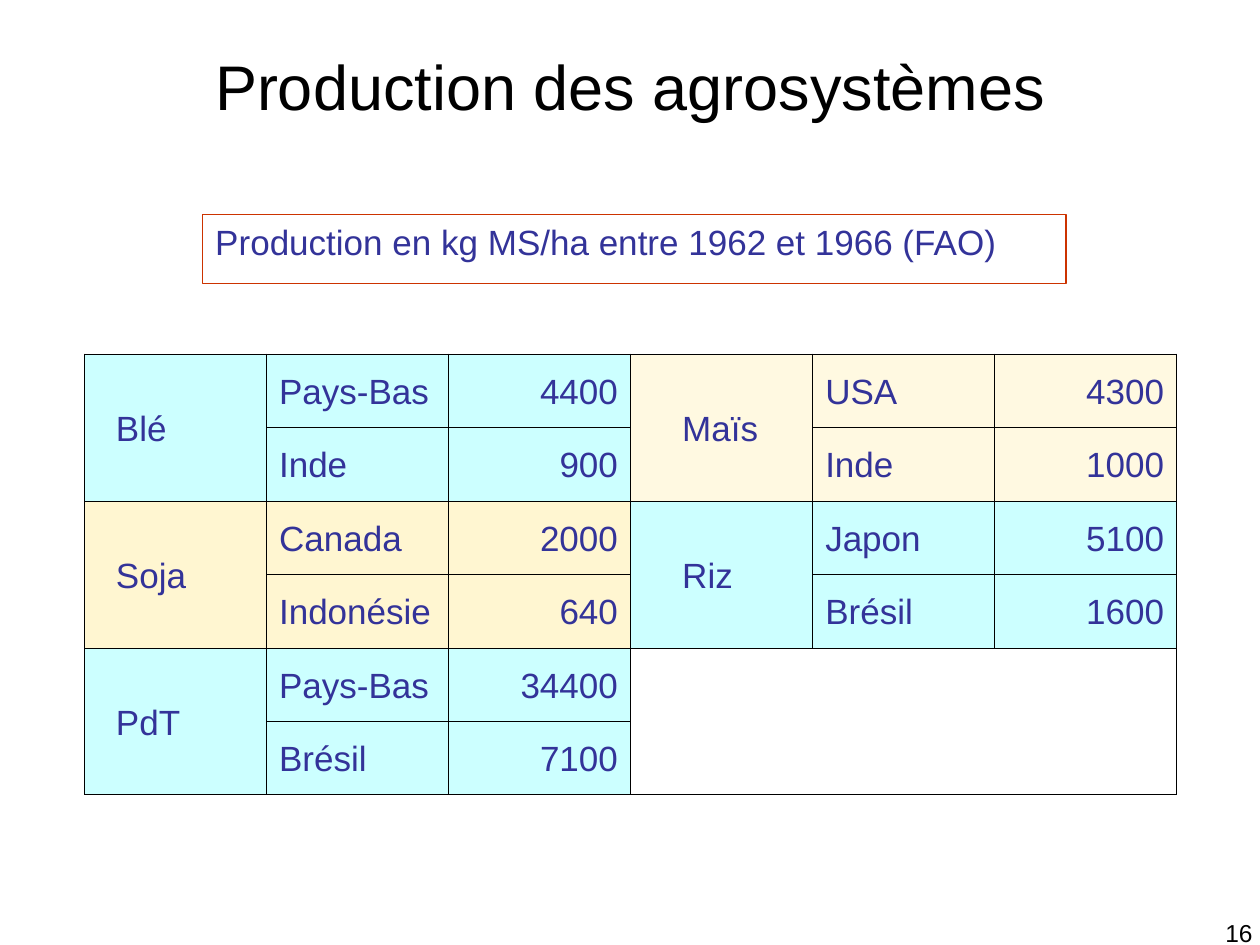
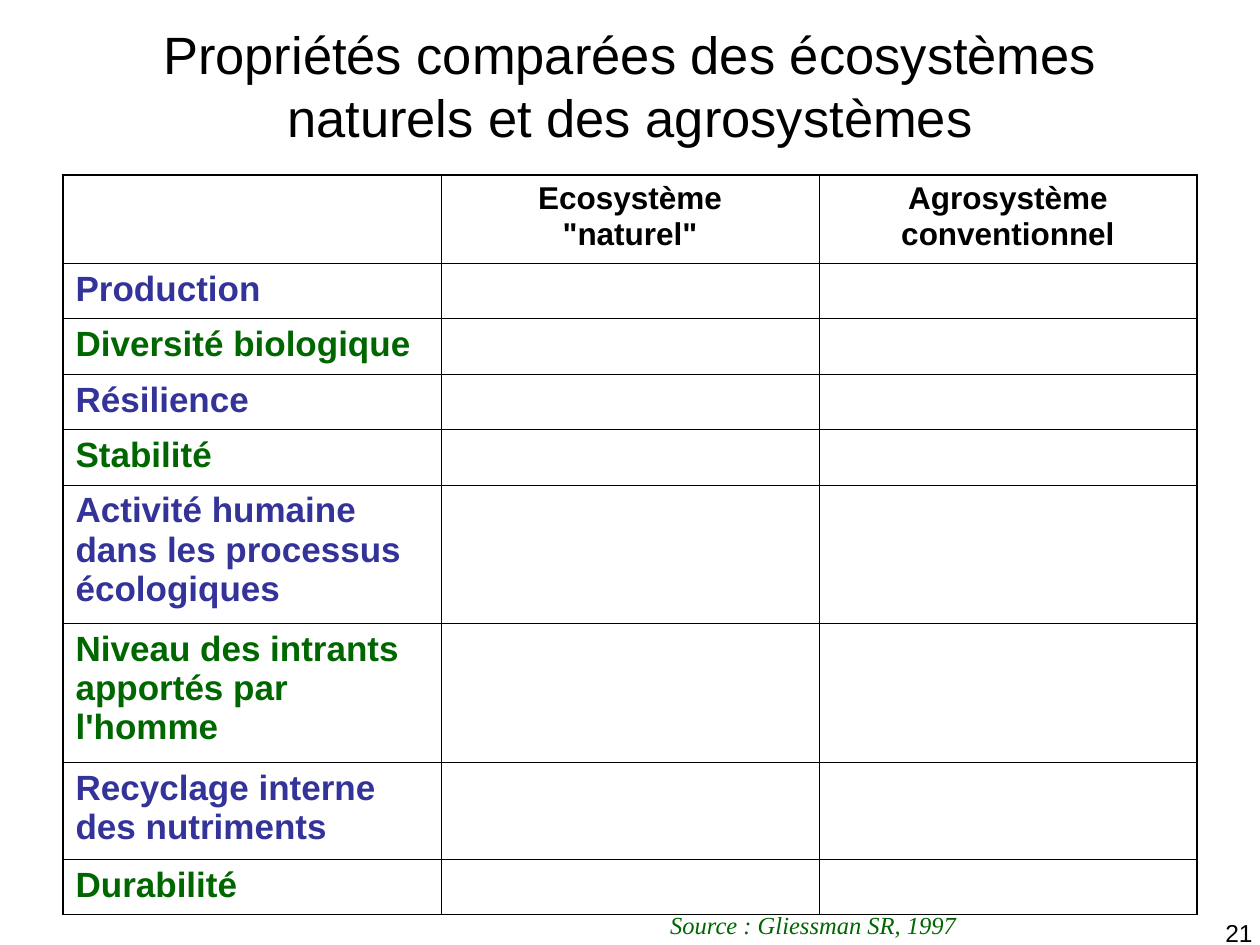
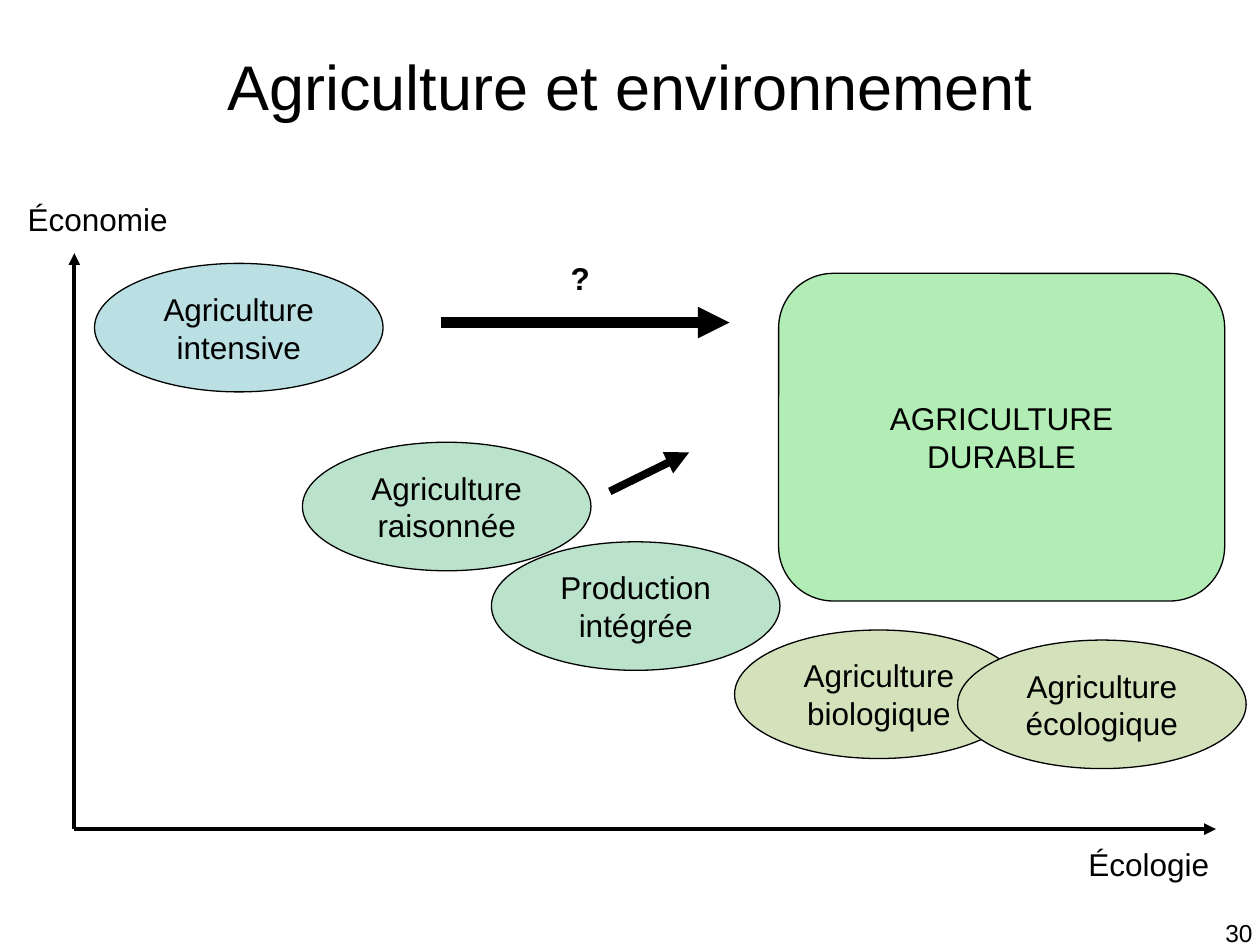
from dataclasses import dataclass

import pptx
import pptx.util
from pptx.dml.color import RGBColor
from pptx.enum.shapes import MSO_CONNECTOR, MSO_SHAPE
from pptx.enum.text import MSO_ANCHOR, PP_ALIGN
from pptx.oxml.ns import qn
from pptx.util import Inches
from lxml import etree

# Shared look
COLORS = {
    "black": "000000", "indigo": "333399", "green": "006600", "red": "CC3300",
    "cyan": "CCFFFF", "cream": "FFF9E1", "sand": "FFF6D1",
    "blue": "BBE0E3", "mint": "BBE3CB", "olive": "D4E2BC", "lime": "B1EDB4",
}
THIN, THICK = 0.45, 1.08
LOOSE, TIGHT = 1.2, 1.115  # line pitch as a multiple of the font size
CENTER, RIGHT = PP_ALIGN.CENTER, PP_ALIGN.RIGHT


@dataclass
class Crop:
    name: str
    fill: str
    row: int
    col: int
    indent: float
    yields: tuple


@dataclass
class Bubble:
    text: str
    left: float
    top: float
    fill: str
    width: float = 2.29
    height: float = 1.02
    kind: MSO_SHAPE = MSO_SHAPE.OVAL


@dataclass
class Arrow:
    start: tuple
    end: tuple
    weight: float


CROPS = [
    Crop("Blé", "cyan", 0, 0, 0.25, (("Pays-Bas", "4400"), ("Inde", "900"))),
    Crop("Maïs", "cream", 0, 3, 0.41, (("USA", "4300"), ("Inde", "1000"))),
    Crop("Soja", "sand", 2, 0, 0.25, (("Canada", "2000"), ("Indonésie", "640"))),
    Crop("Riz", "cyan", 2, 3, 0.41, (("Japon", "5100"), ("Brésil", "1600"))),
    Crop("PdT", "cyan", 4, 0, 0.25, (("Pays-Bas", "34400"), ("Brésil", "7100"))),
]

HEADERS = ["Ecosystème\v\"naturel\"", "Agrosystème\vconventionnel"]
PROPERTIES = [
    ("Production", 0.44),
    ("Diversité biologique", 0.44),
    ("Résilience", 0.44),
    ("Stabilité", 0.44),
    ("Activité humaine dans les processus écologiques", 1.1),
    ("Niveau des intrants apportés par l'homme", 1.1),
    ("Recyclage interne des nutriments", 0.77),
    ("Durabilité", 0.44),
]

AXES = [Arrow((0.59, 6.58), (9.65, 6.58), 2.25), Arrow((0.59, 6.58), (0.59, 2.01), 2.25)]
PATHS = [Arrow((4.84, 3.9), (5.47, 3.59), 4.5), Arrow((3.5, 2.56), (5.79, 2.56), 6)]
BUBBLES = [
    Bubble("Agriculture\vintensive", 0.75, 2.09, "blue"),
    Bubble("Agriculture\vraisonnée", 2.4, 3.51, "mint"),
    Bubble("Production\vintégrée", 3.9, 4.3, "mint"),
    Bubble("Agriculture\vbiologique", 5.83, 5, "olive"),
    Bubble("Agriculture\vécologique", 7.6, 5.08, "olive"),
    Bubble("AGRICULTURE\nDURABLE", 6.18, 2.17, "lime", 3.54, 2.6,
           MSO_SHAPE.ROUNDED_RECTANGLE),
]


def rgb(name: str) -> RGBColor:
    return RGBColor.from_string(COLORS[name])


# Text and slides
def write(tf, text: str, *, size: float = 18, color: str = "black", font: str = "Arial",
          bold: bool = False, italic: bool = False, align=PP_ALIGN.LEFT,
          pitch: float = LOOSE) -> None:
    """Fill a text frame: a newline starts a paragraph, \\v breaks a line."""
    for i, line in enumerate(text.split("\n")):
        p = tf.paragraphs[0] if i == 0 else tf.add_paragraph()
        p.text = line
        p.alignment = align
        p.line_spacing = pptx.util.Pt(round(size * pitch, 1))
        for r in p.runs:
            f = r.font
            f.name, f.size, f.bold, f.italic = font, pptx.util.Pt(size), bold, italic
            f.color.rgb = rgb(color)


def add_text(s, text: str, left: float, top: float, width: float, height: float, **fmt):
    sp = s.shapes.add_textbox(Inches(left), Inches(top), Inches(width), Inches(height))
    sp.text_frame.word_wrap = True
    write(sp.text_frame, text, **fmt)
    return sp


def add_slide(prs, title: str, number: int, size: float = 36):
    s = prs.slides.add_slide(prs.slide_layouts[5])
    sp = s.shapes.title
    sp.left, sp.top, sp.width, sp.height = (Inches(v) for v in (0.5, 0.05, 9, 1.25))
    sp.text_frame.vertical_anchor = MSO_ANCHOR.MIDDLE
    write(sp.text_frame, title, size=size, align=CENTER)
    add_text(s, str(number), 7.71, 7.24, 2.33, 0.52, size=14, align=RIGHT)
    return s


# Tables
def add_table(s, rows: list, cols: int, left: float, top: float, width: float, edge: float):
    """Plain grid with thin inner rules and an outer frame of the given weight."""
    n = len(rows)
    table = s.shapes.add_table(n, cols, Inches(left), Inches(top),
                               Inches(width), Inches(sum(rows))).table
    table.first_row = table.horz_banding = False
    for col in table.columns:
        col.width = Inches(width / cols)
    for i, height in enumerate(rows):
        table.rows[i].height = Inches(height)
        for j in range(cols):
            cell = table.cell(i, j)
            outer = {"lnL": j == 0, "lnR": j == cols - 1, "lnT": i == 0, "lnB": i == n - 1}
            for side, is_outer in outer.items():
                add_border(cell, side, edge if is_outer else THIN)
            cell.fill.background()
    return table


def add_border(cell, side: str, weight: float) -> None:
    tc_pr = cell._tc.get_or_add_tcPr()
    ln = etree.SubElement(tc_pr, qn("a:" + side), w=str(pptx.util.Pt(weight)))
    fill = etree.SubElement(ln, qn("a:solidFill"))
    etree.SubElement(fill, qn("a:srgbClr"), val=COLORS["black"])


# Shapes
def add_arrow(s, arrow: Arrow) -> None:
    points = [Inches(v) for v in arrow.start + arrow.end]
    c = s.shapes.add_connector(MSO_CONNECTOR.STRAIGHT, *points)
    c.line.color.rgb = rgb("black")
    c.line.width = pptx.util.Pt(arrow.weight)
    sp_pr = c._element.spPr
    etree.SubElement(sp_pr.find(qn("a:ln")), qn("a:tailEnd"), type="triangle")
    etree.SubElement(sp_pr, qn("a:effectLst"))


def add_bubble(s, b: Bubble) -> None:
    sp = s.shapes.add_shape(b.kind, Inches(b.left), Inches(b.top),
                            Inches(b.width), Inches(b.height))
    sp.shadow.inherit = False
    sp.fill.solid()
    sp.fill.fore_color.rgb = rgb(b.fill)
    sp.line.color.rgb = rgb("black")
    sp.line.width = pptx.util.Pt(0.75)
    tf = sp.text_frame
    tf.word_wrap = False
    tf.vertical_anchor = MSO_ANCHOR.MIDDLE
    write(tf, b.text, align=CENTER)


# Slides
def build_production(prs) -> None:
    s = add_slide(prs, "Production des agrosystèmes", 16)
    caption = add_text(s, "Production en kg MS/ha entre 1962 et 1966 (FAO)",
                       1.61, 1.7, 6.85, 0.55, size=20, color="indigo")
    caption.line.color.rgb = rgb("red")
    caption.line.width = pptx.util.Pt(0.75)

    table = add_table(s, [3.5 / 6] * 6, 6, 0.67, 2.81, 8.67, THIN)

    def put(row: int, col: int, text: str, fill: str, align=PP_ALIGN.LEFT):
        cell = table.cell(row, col)
        cell.fill.solid()
        cell.fill.fore_color.rgb = rgb(fill)
        cell.vertical_anchor = MSO_ANCHOR.MIDDLE
        write(cell.text_frame, text, size=20, color="indigo", align=align)
        return cell

    for crop in CROPS:
        cell = put(crop.row, crop.col, crop.name, crop.fill)
        cell.margin_left = Inches(crop.indent)
        cell.merge(table.cell(crop.row + 1, crop.col))
        for row, (country, amount) in enumerate(crop.yields, crop.row):
            put(row, crop.col + 1, country, crop.fill)
            put(row, crop.col + 2, amount, crop.fill, RIGHT)
    table.cell(4, 3).merge(table.cell(5, 5))


def build_comparison(prs) -> None:
    s = add_slide(prs, "Propriétés comparées des écosystèmes naturels et des agrosystèmes",
                  21, size=30)
    heights = [0.7] + [height for _, height in PROPERTIES]
    table = add_table(s, heights, 3, 0.5, 1.39, 9, THICK)
    for j, header in enumerate(HEADERS, 1):
        write(table.cell(0, j).text_frame, header, bold=True, align=CENTER, pitch=TIGHT)
    for i, (name, _) in enumerate(PROPERTIES, 1):
        write(table.cell(i, 0).text_frame, name, size=20, bold=True, pitch=TIGHT,
              color="indigo" if i % 2 else "green")
    add_text(s, "Source : Gliessman SR, 1997", 3.5, 7.17, 5.91, 0.34, size=14,
             font="Times New Roman", color="green", italic=True, align=CENTER)


def build_environment(prs) -> None:
    s = add_slide(prs, "Agriculture et environnement", 30)
    for axis in AXES:
        add_arrow(s, axis)
    for bubble in BUBBLES:
        add_bubble(s, bubble)
    add_text(s, "Économie", 0.12, 1.54, 1.42, 0.4)
    add_text(s, "Écologie", 8.54, 6.66, 1.26, 0.4)
    for arrow in PATHS:
        add_arrow(s, arrow)
    add_text(s, "?", 4.37, 2.01, 0.47, 0.4, bold=True, align=CENTER)


def main() -> None:
    prs = pptx.Presentation()
    prs.slide_width, prs.slide_height = Inches(10), Inches(7.5)
    build_production(prs)
    build_comparison(prs)
    build_environment(prs)
    prs.save("out.pptx")


if __name__ == "__main__":
    main()
